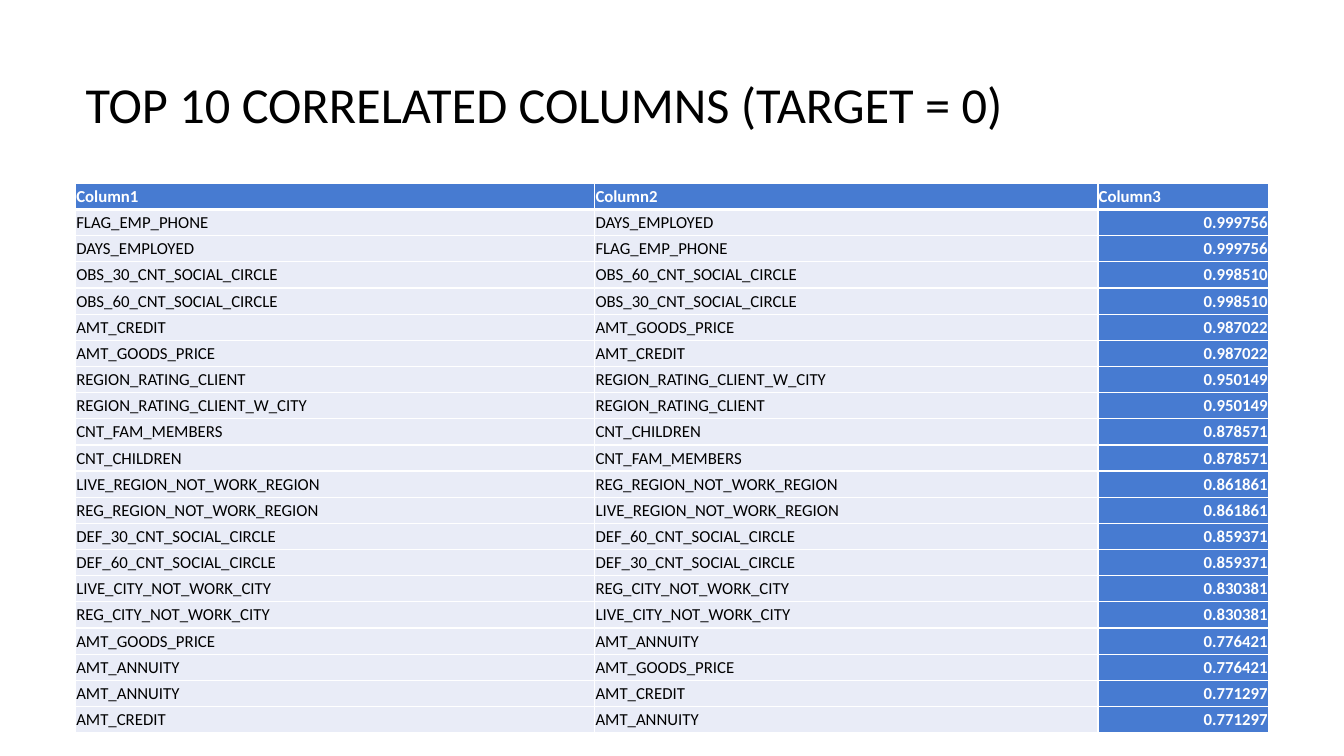
"""Build a slide that lists the most correlated column pairs."""
from dataclasses import dataclass

from lxml.etree import SubElement
from pptx import Presentation
from pptx.dml.color import RGBColor
from pptx.enum.text import MSO_ANCHOR, PP_ALIGN
from pptx.oxml.ns import qn
from pptx.util import Pt


@dataclass(frozen=True)
class Theme:
    """Colours, font and type sizes of the slide."""

    font: str = "Calibri"
    title_size: int = 36
    table_size: int = 12
    ink: str = "000000"
    paper: str = "FFFFFF"
    accent: str = "477BD1"
    tint: str = "E9ECF7"


@dataclass(frozen=True)
class Box:
    """A region of the slide in points."""

    left: float
    top: float
    width: float
    height: float

    def lengths(self):
        """Return the region as slide lengths."""
        return Pt(self.left), Pt(self.top), Pt(self.width), Pt(self.height)


THEME = Theme()
TITLE = "TOP 10 CORRELATED COLUMNS (TARGET = 0)"
HEADERS = ("Column1", "Column2", "Column3")
COLUMN_SHARES = (5.15, 4.99, 1.69)
CORRELATED_PAIRS = (
    ("FLAG_EMP_PHONE", "DAYS_EMPLOYED", "0.999756"),
    ("OBS_30_CNT_SOCIAL_CIRCLE", "OBS_60_CNT_SOCIAL_CIRCLE", "0.998510"),
    ("AMT_CREDIT", "AMT_GOODS_PRICE", "0.987022"),
    ("REGION_RATING_CLIENT", "REGION_RATING_CLIENT_W_CITY", "0.950149"),
    ("CNT_FAM_MEMBERS", "CNT_CHILDREN", "0.878571"),
    ("LIVE_REGION_NOT_WORK_REGION", "REG_REGION_NOT_WORK_REGION", "0.861861"),
    ("DEF_30_CNT_SOCIAL_CIRCLE", "DEF_60_CNT_SOCIAL_CIRCLE", "0.859371"),
    ("LIVE_CITY_NOT_WORK_CITY", "REG_CITY_NOT_WORK_CITY", "0.830381"),
    ("AMT_GOODS_PRICE", "AMT_ANNUITY", "0.776421"),
    ("AMT_ANNUITY", "AMT_CREDIT", "0.771297"),
)


def add_run(paragraph, text, size, color, bold=False):
    """Add one formatted run to a paragraph."""
    run = paragraph.add_run()
    run.text = text
    run.font.name = THEME.font
    run.font.size = Pt(size)
    run.font.bold = bold
    run.font.color.rgb = RGBColor.from_string(color)


def set_borders(cell, top, bottom):
    """Draw the cell borders, with one-point sides."""
    properties = cell._tc.get_or_add_tcPr()
    for side, weight in (("L", 1), ("R", 1), ("T", top), ("B", bottom)):
        line = SubElement(properties, qn(f"a:ln{side}"), w=str(Pt(weight)))
        fill = SubElement(line, qn("a:solidFill"))
        SubElement(fill, qn("a:srgbClr"), val=THEME.paper)


def fill_cell(cell, text, strong, alignment):
    """Write a cell, white on blue when strong and black on tint otherwise."""
    cell.margin_left = cell.margin_right = cell.margin_top = Pt(0.5)
    cell.margin_bottom = Pt(0)
    cell.vertical_anchor = MSO_ANCHOR.MIDDLE
    cell.fill.solid()
    cell.fill.fore_color.rgb = RGBColor.from_string(THEME.accent if strong else THEME.tint)
    paragraph = cell.text_frame.paragraphs[0]
    paragraph.alignment = alignment
    add_run(paragraph, text, THEME.table_size, THEME.paper if strong else THEME.ink, strong)


def add_title(slide, box):
    """Add the slide title, centred vertically in its box."""
    frame = slide.shapes.add_textbox(*box.lengths()).text_frame
    frame.word_wrap = True
    frame.vertical_anchor = MSO_ANCHOR.MIDDLE
    add_run(frame.paragraphs[0], TITLE, THEME.title_size, THEME.ink)


def add_correlation_table(slide, box):
    """Add the table that lists every pair in both directions."""
    rows = [HEADERS]
    for first, second, value in CORRELATED_PAIRS:
        rows += [(first, second, value), (second, first, value)]
    table = slide.shapes.add_table(len(rows), len(HEADERS), *box.lengths()).table
    table.first_row = table.horz_banding = False
    for column, share in zip(table.columns, COLUMN_SHARES):
        column.width = Pt(box.width * share / sum(COLUMN_SHARES))
    for row_index, texts in enumerate(rows):
        table.rows[row_index].height = Pt(box.height / len(rows))
        header = row_index == 0
        for column_index, text in enumerate(texts):
            value = not header and column_index == len(HEADERS) - 1
            cell = table.cell(row_index, column_index)
            set_borders(cell, 3 if row_index == 1 else 1, 3 if header else 1)
            fill_cell(cell, text, header or value, PP_ALIGN.RIGHT if value else PP_ALIGN.LEFT)


def main():
    """Build and save the presentation."""
    presentation = Presentation()
    presentation.slide_width, presentation.slide_height = Pt(960), Pt(540)
    slide = presentation.slides.add_slide(presentation.slide_layouts[6])
    add_title(slide, Box(54, 16.5, 852, 114.5))
    add_correlation_table(slide, Box(54, 131, 852, 392.4))
    presentation.save("out.pptx")


main()
